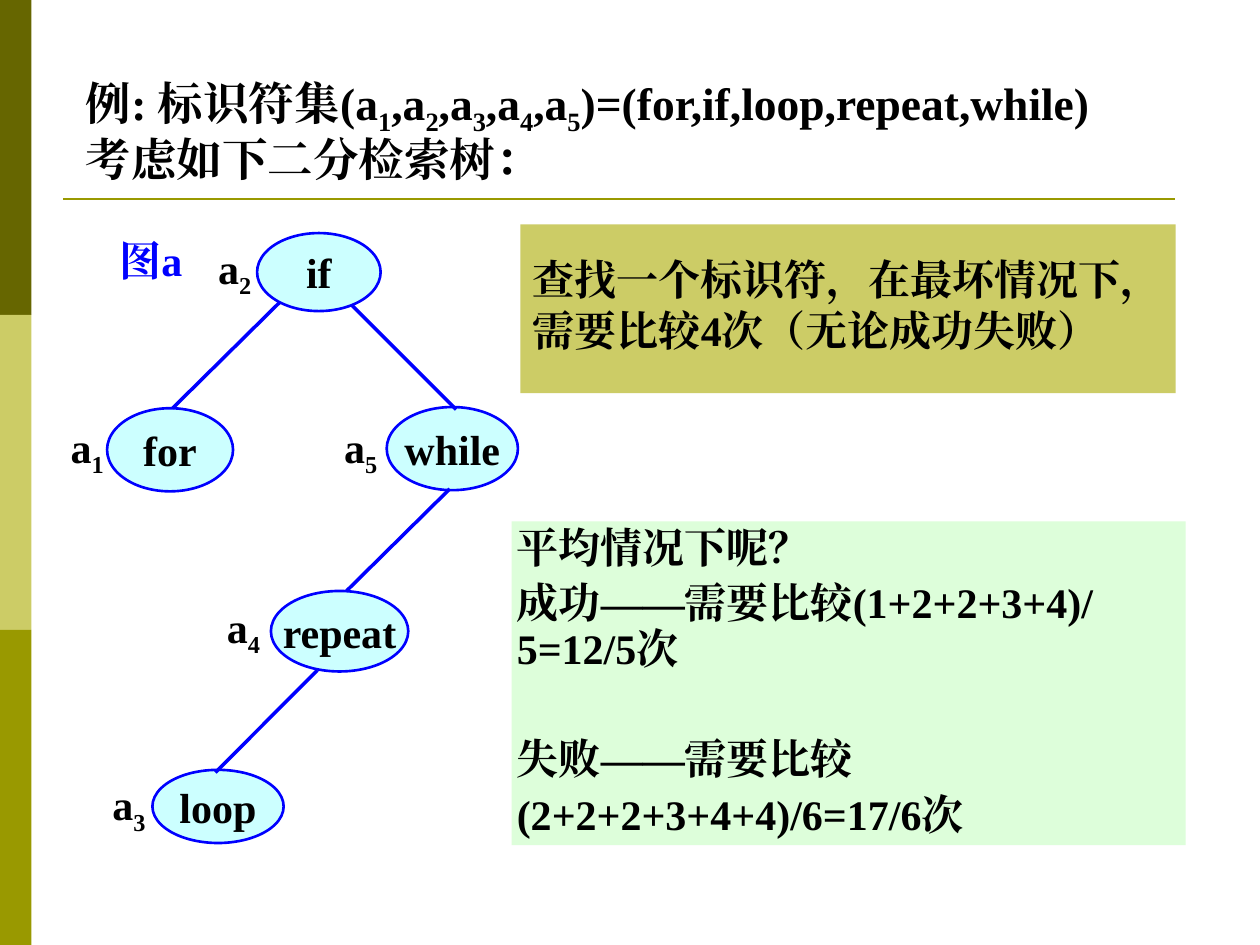
from lxml import etree
from pptx import Presentation
from pptx import util as u
from pptx.dml.color import RGBColor
from pptx.enum import shapes, text
from pptx.oxml import ns

Pt = u.Pt
FONT = "Times New Roman"
BLACK, BLUE, OLIVE = "000000", "0000FF", "999900"
SMALL_INSET, WIDE_INSET = (3, 3), (7.2, 3.6)


def color(value):
    return RGBColor.from_string(value)


def set_values(target, values):
    for name, value in values.items():
        setattr(target, name, value)


def add_run(paragraph, content, size, hue, subscript=False):
    if not content:
        return
    run = paragraph.add_run()
    run.text = content
    set_values(run.font, {"name": FONT, "size": Pt(size), "bold": True})
    run.font.color.rgb = color(hue)
    properties = run._r.get_or_add_rPr()
    etree.SubElement(properties, ns.qn("a:ea")).set("typeface", FONT)
    if subscript:
        properties.set("baseline", "-25000")


def write_text(shape, lines, size=24, hue=BLACK, inset=SMALL_INSET, wrap=True,
               anchor=text.MSO_ANCHOR.TOP, indent=0, **spacing):
    frame = shape.text_frame
    horizontal, vertical = map(Pt, inset)
    set_values(frame, {
        "margin_left": horizontal, "margin_right": horizontal,
        "margin_top": vertical, "margin_bottom": vertical,
        "word_wrap": wrap, "vertical_anchor": anchor,
    })
    for index, line in enumerate(lines):
        paragraph = frame.add_paragraph() if index else frame.paragraphs[0]
        set_values(paragraph, {"alignment": text.PP_ALIGN.LEFT, **spacing})
        if indent:
            properties = paragraph._p.get_or_add_pPr()
            properties.set("marL", str(Pt(indent)))
            properties.set("indent", str(-Pt(indent)))
        first, *rest = line.split("_")
        add_run(paragraph, first, size, hue)
        for part in rest:
            add_run(paragraph, part[0], size, hue, subscript=True)
            add_run(paragraph, part[1:], size, hue)


def add_text(slide, box, lines, **style):
    shape = slide.shapes.add_textbox(*map(Pt, box))
    write_text(shape, lines, **style)


def add_block(slide, box, fill, kind=shapes.MSO_SHAPE.RECTANGLE, outline=None):
    shape = slide.shapes.add_shape(kind, *map(Pt, box))
    shape.shadow.inherit = False
    shape.fill.solid()
    shape.fill.fore_color.rgb = color(fill)
    if outline:
        shape.line.color.rgb = color(outline)
        shape.line.width = Pt(1.5)
    else:
        shape.line.fill.background()
    return shape


def add_line(slide, ends, hue, width):
    line = slide.shapes.add_connector(shapes.MSO_CONNECTOR.STRAIGHT, *map(Pt, ends))
    line.line.color.rgb = color(hue)
    line.line.width = Pt(width)
    etree.SubElement(line._element.spPr, ns.qn("a:effectLst"))


def draw_side_bar(slide, box):
    left, top, width, height = box
    band = height / 3
    for index, fill in enumerate(("666600", "CCCC66", OLIVE)):
        add_block(slide, (left, top + index * band, width, band), fill)


def draw_title(slide, box):
    left, top, width, height = box
    rule = top + 70.6
    add_line(slide, (left - 10, rule, left + 625.7, rule), OLIVE, 1.5)
    lines = ("例: 标识符集(a_1,a_2,a_3,a_4,a_5)=(for,if,loop,repeat,while)",
             "考虑如下二分检索树：")
    add_text(slide, box, lines, size=26, line_spacing=0.8, space_before=Pt(6.5))


def draw_averages(slide, box):
    block = add_block(slide, box, "DDFEDA")
    lines = ("平均情况下呢？", "成功——需要比较(1+2+2+3+4)/5=12/5次",
             "失败——需要比较", "(2+2+2+3+4+4)/6=17/6次")
    write_text(block, lines, line_spacing=0.9, space_before=Pt(6))
    block.text_frame.paragraphs[2].space_before = Pt(37)


def draw_search_tree(slide, box):
    left, top = box[:2]
    nodes = (
        ("if", 110.9, 3.2, 70.6, 44.6),
        ("for", 25.2, 103.3, 72, 47.5),
        ("while", 185, 102.6, 75, 47.5),
        ("loop", 51.1, 309.9, 75, 41.8),
        ("repeat", 118.8, 207.7, 78.5, 46),
    )
    edges = (
        (123.8, 42.8, 62.6, 103.3),
        (164.9, 44.2, 224.6, 104),
        (221, 149.4, 162, 207.7),
        (145.4, 253, 87.1, 311.4),
    )
    labels = ((1.4, 113.4), (85.7, 11.1), (25.2, 317.8), (90.7, 216.3), (157.7, 113.4))

    for name, x, y, width, height in nodes:
        node = add_block(slide, (left + x, top + y, width, height), "CCFFFF",
                         shapes.MSO_SHAPE.OVAL, BLUE)
        write_text(node, [name], inset=WIDE_INSET, wrap=False,
                   anchor=text.MSO_ANCHOR.MIDDLE, alignment=text.PP_ALIGN.CENTER)
    for x1, y1, x2, y2 in edges:
        add_line(slide, (left + x1, top + y1, left + x2, top + y2), BLUE, 2)
    add_text(slide, (left + 25.2, top + 0.3, 56, 36), ["图a"], hue=BLUE,
             inset=WIDE_INSET, wrap=False)
    for number, (x, y) in enumerate(labels, 1):
        add_text(slide, (left + x, top + y, 31, 28.8), [f"a_{number}"],
                 line_spacing=0.7, space_before=Pt(15))


def draw_worst_case(slide, box):
    block = add_block(slide, box, "CCCC66")
    lines = ("查找一个标识符，在最坏情况下，", "需要比较4次（无论成功失败）")
    write_text(block, lines, inset=WIDE_INSET, wrap=False, indent=27,
               anchor=text.MSO_ANCHOR.MIDDLE, line_spacing=0.8, space_before=Pt(6))


def main():
    presentation = Presentation()
    set_values(presentation, {"slide_width": Pt(720), "slide_height": Pt(540)})
    slide = presentation.slides.add_slide(presentation.slide_layouts[6])
    draw_side_bar(slide, (0, 0, 18, 540))
    draw_title(slide, (46, 43.2, 654.5, 65.5))
    draw_averages(slide, (292.3, 298, 385.2, 185))
    draw_search_tree(slide, (36, 130, 260, 352))
    draw_worst_case(slide, (297.4, 128.2, 374.4, 96.5))
    presentation.save("out.pptx")


if __name__ == "__main__":
    main()
